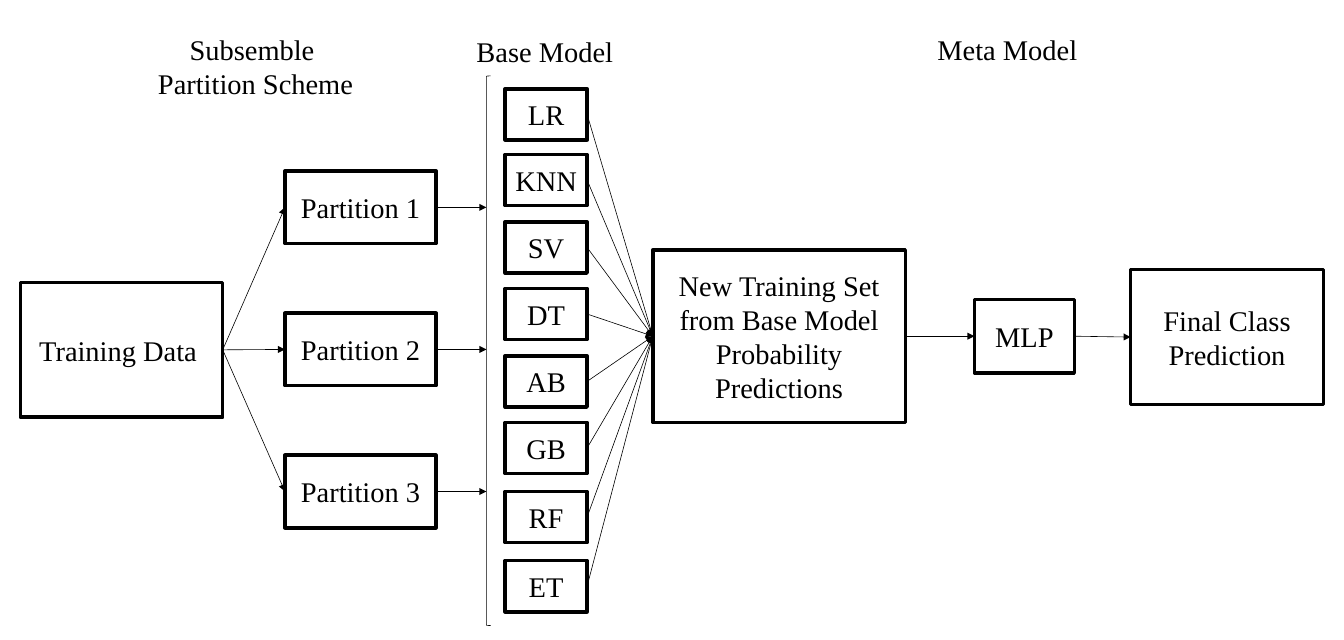
import pptx
import pptx.dml.color
import pptx.enum.shapes
import pptx.enum.text
import pptx.oxml.ns
import pptx.util
from lxml import etree

Inches = pptx.util.Inches
Pt = pptx.util.Pt
Shapes = pptx.enum.shapes.MSO_SHAPE
BLACK = pptx.dml.color.RGBColor(0, 0, 0)
FONT, TEXT_SIZE = "Times New Roman", 24
BOX_LINE, THIN_LINE = 3, 0.5
LEFT_SITE, RIGHT_SITE = 1, 3

# Headings: text, left, top
HEADINGS = [
    ("Subsemble \nPartition Scheme", 0.66, 0.48),
    ("Base Model", 4.05, 0.3),
    ("Meta Model", 9.47, 0.28),
]
HEADING_WIDTH, HEADING_HEIGHT = 4.67, 0.6

# Single boxes: text, left, width, height, vertical centre
TRAINING = ("Training Data ", 0.24, 2.37, 1.58, 4.1)
META_CHAIN = [
    ("New Training Set from Base Model Probability Predictions", 7.65, 2.96, 2.02, 3.94),
    ("MLP", 11.42, 1.17, 0.86, 3.94),
    ("Final Class Prediction", 13.25, 2.26, 1.58, 3.95),
]

# Columns of boxes: text and vertical centre
PARTITIONS = [(f"Partition {number}", 2.43 + 1.665 * (number - 1)) for number in (1, 2, 3)]
MODELS = [("LR", 1.34), ("KNN", 2.11), ("SV", 2.9), ("DT", 3.68),
          ("AB", 4.47), ("GB", 5.25), ("RF", 6.06), ("ET", 6.87)]
PARTITION_COLUMN = (3.34, 1.77, 0.85)
MODEL_COLUMN = (5.92, 0.96, 0.6)
BRACKET = (5.7, 0.89, 0.05, 6.44)

presentation = pptx.Presentation()
presentation.slide_width = Inches(15.75)
presentation.slide_height = Inches(7.5)
slide = presentation.slides.add_slide(presentation.slide_layouts[6])


def write(shape, text):
    """Put centred black text in a shape."""
    frame = shape.text_frame
    frame.text = text
    frame.word_wrap = True
    frame.vertical_anchor = pptx.enum.text.MSO_ANCHOR.MIDDLE
    for paragraph in frame.paragraphs:
        paragraph.alignment = pptx.enum.text.PP_ALIGN.CENTER
        paragraph.font.name = FONT
        paragraph.font.size = Pt(TEXT_SIZE)
        paragraph.font.color.rgb = BLACK


def add_outline(kind, left, top, width, height, weight):
    """Draw an unfilled shape with a black line."""
    shape = slide.shapes.add_shape(
        kind, Inches(left), Inches(top), Inches(width), Inches(height))
    shape.shadow.inherit = False
    shape.fill.background()
    shape.line.color.rgb = BLACK
    shape.line.width = Pt(weight)
    return shape


def add_box(text, left, width, height, centre):
    """Draw a labelled rectangle around a vertical centre."""
    box = add_outline(Shapes.RECTANGLE, left, centre - height / 2, width, height, BOX_LINE)
    write(box, text)
    return box


def add_column(entries, column):
    """Draw one box per entry, all of one size."""
    return [add_box(text, *column, centre) for text, centre in entries]


def add_arrow(source, target, glued=True):
    """Draw a thin arrow from a box's right side to a target's left side."""
    start = source.top + source.height // 2
    end = target.top + target.height // 2 if glued else start
    arrow = slide.shapes.add_connector(
        pptx.enum.shapes.MSO_CONNECTOR.STRAIGHT,
        source.left + source.width, start, target.left, end)
    arrow.begin_connect(source, RIGHT_SITE)
    if glued:
        arrow.end_connect(target, LEFT_SITE)
    arrow.line.color.rgb = BLACK
    arrow.line.width = Pt(THIN_LINE)
    qn = pptx.oxml.ns.qn
    etree.SubElement(arrow.line._get_or_add_ln(), qn("a:tailEnd"), type="triangle")
    etree.SubElement(arrow._element.spPr, qn("a:effectLst"))


for text, left, top in HEADINGS:
    heading = slide.shapes.add_textbox(
        Inches(left), Inches(top), Inches(HEADING_WIDTH), Inches(HEADING_HEIGHT))
    write(heading, text)

training = add_box(*TRAINING)
partitions = add_column(PARTITIONS, PARTITION_COLUMN)
bracket = add_outline(Shapes.LEFT_BRACKET, *BRACKET, THIN_LINE)
models = add_column(MODELS, MODEL_COLUMN)
meta_chain = [add_box(*entry) for entry in META_CHAIN]

for partition in partitions:
    add_arrow(training, partition)
    add_arrow(partition, bracket, glued=False)
for model in models:
    add_arrow(model, meta_chain[0])
for source, target in zip(meta_chain, meta_chain[1:]):
    add_arrow(source, target)

presentation.save("out.pptx")
